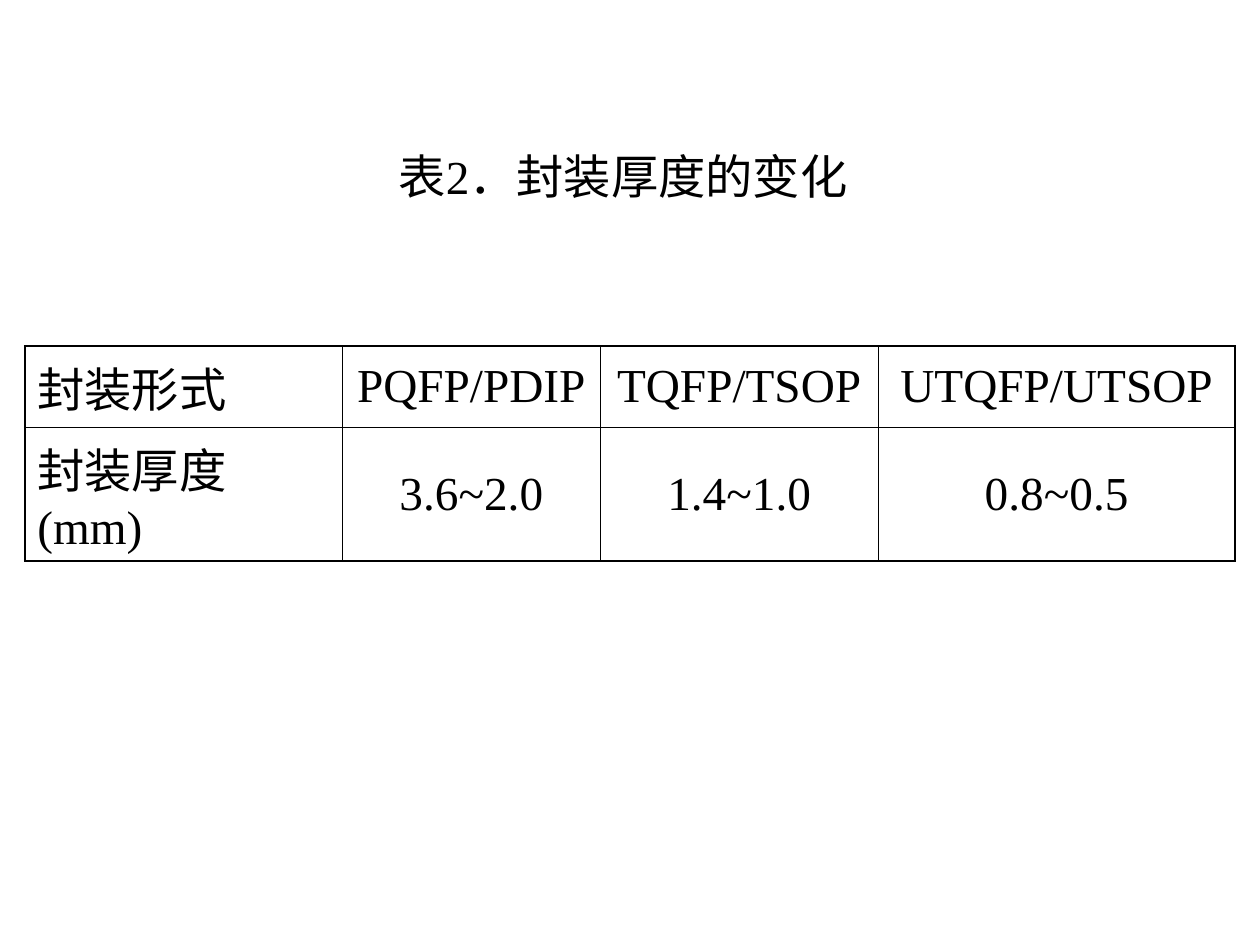
from pptx import Presentation
from pptx.dml.color import RGBColor
from pptx.enum.text import MSO_ANCHOR as Anchor, PP_ALIGN as Align
from pptx.oxml import parse_xml
from pptx.oxml.ns import nsdecls
from pptx.util import Cm, Pt

FONT = "Times New Roman"
BLACK = "000000"
INNER, OUTER = 0.45, 1.08
COLUMN_WIDTHS = [6.4, 5.2, 5.6, 7.2]
ROW_HEIGHTS = [1.63, 2.69]
PACKAGES = [
    ["封装形式", "PQFP/PDIP", "TQFP/TSOP", "UTQFP/UTSOP"],
    ["封装厚度(mm)", "3.6~2.0", "1.4~1.0", "0.8~0.5"],
]


def color(value):
    return RGBColor.from_string(value)


def write(frame, text, align):
    paragraph = frame.paragraphs[0]
    paragraph.alignment = align
    run = paragraph.add_run()
    run.text = text
    run.font.name = FONT
    run.font.size = Pt(27)
    run.font.bold = False
    run.font.color.rgb = color(BLACK)


def add_title(slide, text):
    title = slide.shapes.title
    title.left, title.top = Cm(5.26), Cm(2.74)
    title.width, title.height = Cm(14.6), Cm(1.6)
    title.text_frame.word_wrap = True
    title.text_frame.vertical_anchor = Anchor.MIDDLE
    write(title.text_frame, text, Align.CENTER)


def set_borders(cell, **widths):
    """Draw the sides L, R, T and B, given in points, ahead of the cell's fill."""
    properties = cell._tc.get_or_add_tcPr()
    for position, (side, width) in enumerate(widths.items()):
        properties.insert(position, parse_xml(
            f'<a:ln{side} {nsdecls("a")} w="{int(Pt(width))}"><a:solidFill>'
            f'<a:srgbClr val="{BLACK}"/></a:solidFill></a:ln{side}>'))


def add_ruled_table(slide, rows, left, top):
    """Add a table with thin inner rules and a heavier frame."""
    last_row, last_column = len(rows) - 1, len(rows[0]) - 1
    table = slide.shapes.add_table(
        len(rows), len(rows[0]), Cm(left), Cm(top),
        Cm(sum(COLUMN_WIDTHS)), Cm(sum(ROW_HEIGHTS))).table
    table.first_row = table.horz_banding = False
    for column, width in zip(table.columns, COLUMN_WIDTHS):
        column.width = Cm(width)
    for row, height in zip(table.rows, ROW_HEIGHTS):
        row.height = Cm(height)

    for r, values in enumerate(rows):
        for c, value in enumerate(values):
            cell = table.cell(r, c)
            cell.fill.background()
            cell.vertical_anchor = Anchor.MIDDLE
            write(cell.text_frame, value, Align.CENTER if c else Align.LEFT)
            set_borders(cell,
                        L=INNER if c else OUTER,
                        R=OUTER if c == last_column else INNER,
                        T=INNER if r else OUTER,
                        B=OUTER if r == last_row else INNER)


def main():
    deck = Presentation()
    deck.slide_width, deck.slide_height = Cm(25.4), Cm(19.05)
    slide = deck.slides.add_slide(deck.slide_layouts[5])
    add_title(slide, "表2．封装厚度的变化")
    add_ruled_table(slide, PACKAGES, left=0.5, top=6.98)
    deck.save("out.pptx")


if __name__ == "__main__":
    main()
